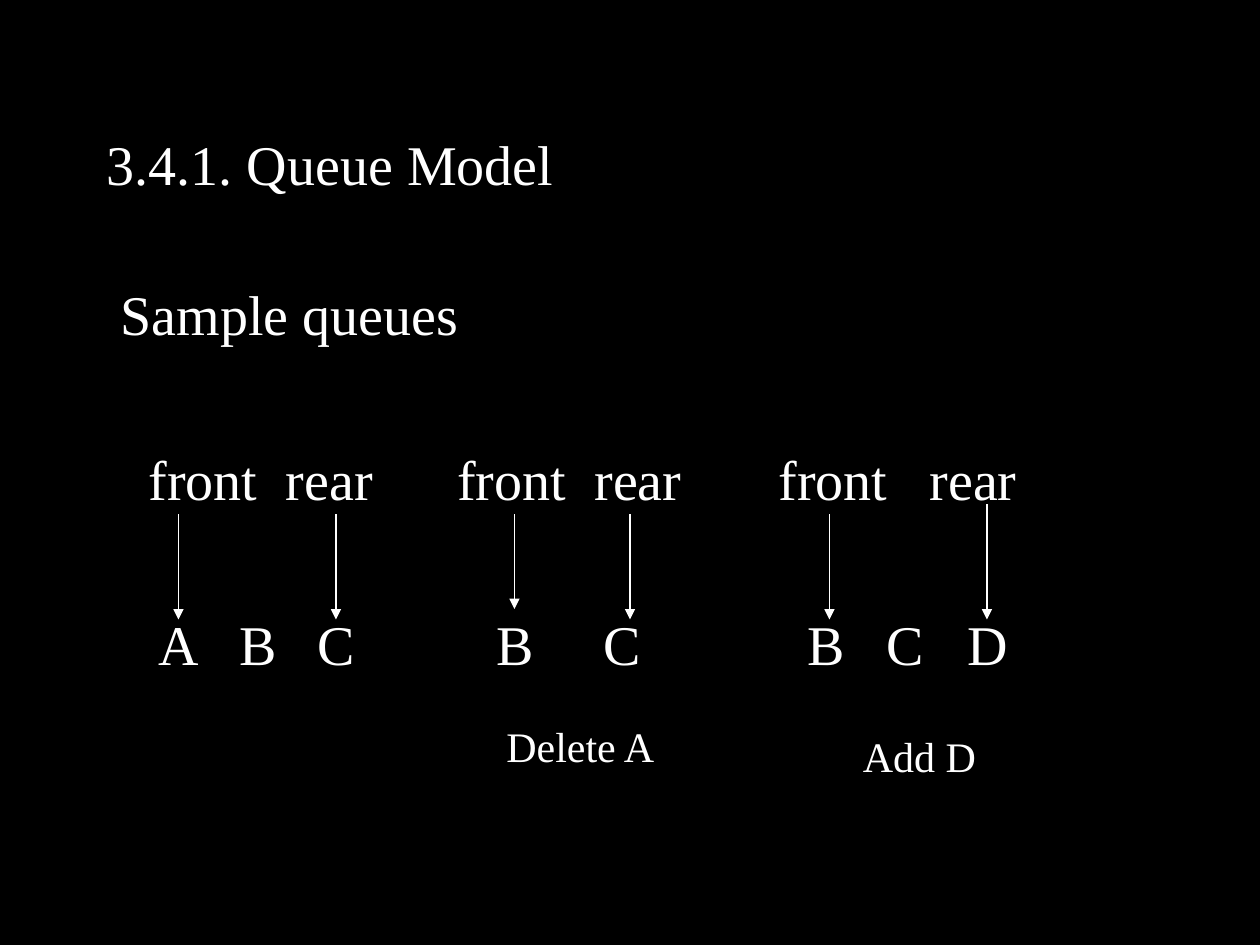
from lxml import etree
from pptx import Presentation
from pptx.dml.color import RGBColor
from pptx.enum.shapes import MSO_CONNECTOR
from pptx.enum.text import MSO_ANCHOR
from pptx.oxml.ns import qn
from pptx.util import Inches, Pt

STRAIGHT = MSO_CONNECTOR.STRAIGHT
TOP, MIDDLE = MSO_ANCHOR.TOP, MSO_ANCHOR.MIDDLE
FONT = "Times New Roman"
WHITE, BLACK = "FFFFFF", "000000"

# The grid has 120 columns and 90 rows on a slide of 10 by 7.5 inches
CELL = Inches(10) // 120

# Tab stops in inches: two pointer labels per queue, then the queue items
POINTER_TABS = (0.33, 1.42, 2.78, 3.87, 5.33, 6.53)
ITEM_TABS = (0.41, 1.05, 1.67, 3.09, 3.94, 5.56, 6.19, 6.83)

# Pointer arrows: column, first row, last row
ARROWS = (
    (17, 49, 59), (32, 49, 59),
    (49, 49, 58), (60, 49, 59),
    (79, 49, 59), (94, 48, 59),
)


def grid(*cells):
    return [int(cell * CELL) for cell in cells]


def colour(hex_string):
    return RGBColor.from_string(hex_string)


def add_text_box(slide, column, row, columns, rows, anchor=TOP):
    shape = slide.shapes.add_textbox(*grid(column, row, columns, rows))
    frame = shape.text_frame
    frame.word_wrap = True
    frame.vertical_anchor = anchor
    return frame


def write(paragraph, text, size=32, indent=0, space_before=0, tabs=()):
    run = paragraph.add_run()
    run.text = text
    run.font.name = FONT
    run.font.size = Pt(size)
    run.font.color.rgb = colour(WHITE)
    paragraph.space_before = Pt(space_before)
    properties = paragraph._p.get_or_add_pPr()
    properties.set("marL", str(Inches(indent)))
    if tabs:
        tab_list = etree.SubElement(properties, qn("a:tabLst"))
        for position in tabs:
            etree.SubElement(tab_list, qn("a:tab"),
                             pos=str(Inches(position)), algn="l")


def write_row(frame, labels, tabs):
    text = "".join("\t" + label for label in labels)
    write(frame.add_paragraph(), text, space_before=56, tabs=tabs)


def add_arrow(slide, column, first_row, last_row):
    connector = slide.shapes.add_connector(
        STRAIGHT, *grid(column, first_row, column, last_row))
    connector.line.color.rgb = colour(WHITE)
    connector.line.width = Pt(0.75)
    etree.SubElement(connector.line._get_or_add_ln(), qn("a:tailEnd"),
                     type="triangle")
    etree.SubElement(connector._element.spPr, qn("a:effectLst"))


def main():
    presentation = Presentation()
    presentation.slide_width, presentation.slide_height = grid(120, 90)
    slide = presentation.slides.add_slide(presentation.slide_layouts[6])
    slide.background.fill.solid()
    slide.background.fill.fore_color.rgb = colour(BLACK)

    # Title
    title = add_text_box(slide, 9, 8, 102, 15, anchor=MIDDLE)
    write(title.paragraphs[0], "3.4.1. Queue Model")

    # Sample queues with their pointer labels and items
    body = add_text_box(slide, 9, 26, 102, 54)
    write(body.paragraphs[0], "Sample queues", indent=0.11)
    write_row(body, ("front", "rear") * 3, POINTER_TABS)
    write_row(body, "ABC" "BC" "BCD", ITEM_TABS)

    # Arrows from the labels to the items
    for arrow in ARROWS:
        add_arrow(slide, *arrow)

    # Operation captions
    deletion = add_text_box(slide, 45, 68, 22, 6)
    write(deletion.paragraphs[0], "Delete A", size=24, indent=0.17)
    addition = add_text_box(slide, 78, 69, 21, 6)
    write(addition.paragraphs[0], "Add D", size=24, indent=0.25)

    presentation.save("out.pptx")


if __name__ == "__main__":
    main()
